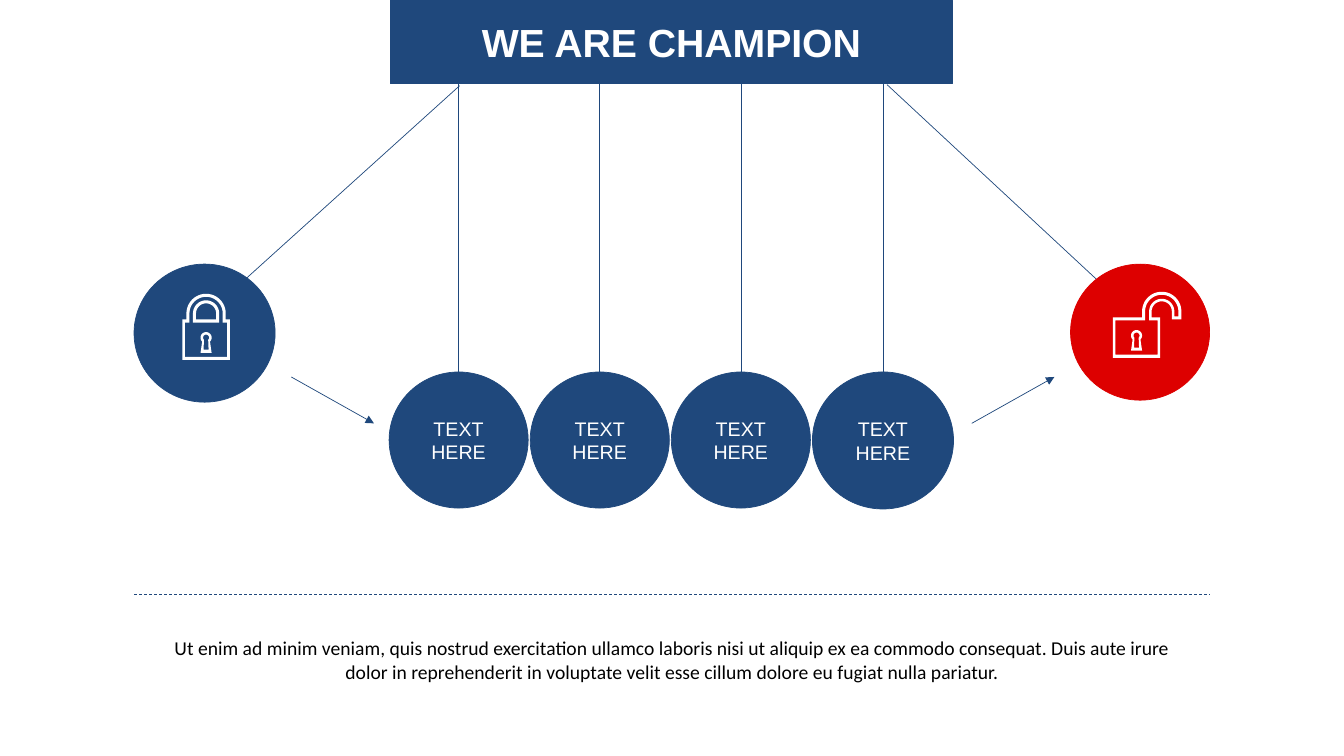
"""Build a Newton's cradle slide with two padlocked end balls."""
from dataclasses import dataclass
from math import cos, pi, sin

from lxml import etree
from pptx import Presentation
from pptx.dml.color import RGBColor
from pptx.enum.dml import MSO_LINE
from pptx.enum.shapes import MSO_CONNECTOR, MSO_SHAPE
from pptx.enum.text import MSO_ANCHOR, MSO_AUTO_SIZE, PP_ALIGN
from pptx.oxml.ns import qn
from pptx.util import Inches, Pt

STRAIGHT = MSO_CONNECTOR.STRAIGHT
OVAL = MSO_SHAPE.OVAL
DASH = MSO_LINE.DASH
MIDDLE = MSO_ANCHOR.MIDDLE
NO_FIT = MSO_AUTO_SIZE.NONE
CENTER = PP_ALIGN.CENTER
TOP_SITE = 0

COLUMNS, ROWS = 133.33, 75
CELL = Inches(0.1)
INSET = 0.5
BANNER_BOTTOM = 8.3
PITCH = 14
FOOTNOTE = (
    "Ut enim ad minim veniam, quis nostrud exercitation ullamco laboris nisi ut "
    "aliquip ex ea commodo consequat. Duis aute irure dolor in reprehenderit in "
    "voluptate velit esse cillum dolore eu fugiat nulla pariatur."
)

Point = tuple[float, float]
Contour = list[Point]


@dataclass(frozen=True)
class Theme:
    """Colours, fonts and type sizes of the slide."""
    navy: RGBColor = RGBColor(0x1F, 0x48, 0x7C)
    red: RGBColor = RGBColor(0xDD, 0x00, 0x00)
    white: RGBColor = RGBColor(0xFF, 0xFF, 0xFF)
    black: RGBColor = RGBColor(0x00, 0x00, 0x00)
    heading_font: str = "Arial"
    body_font: str = "Calibri"
    title_size: Pt = Pt(28)
    text_size: Pt = Pt(14)
    line_width: Pt = Pt(0.5)


THEME = Theme()


@dataclass(frozen=True)
class Ball:
    """A ball placed in grid cells, with one paragraph per line of text."""
    left: float
    top: float
    width: float
    height: float
    color: RGBColor = THEME.navy
    lines: tuple[str, ...] = ()


@dataclass(frozen=True)
class Stroke:
    """A straight line between two grid points."""
    start: Point
    end: Point
    arrow: bool = False
    dashed: bool = False


LABEL = ("TEXT", "HERE")
HANGING_BALLS = [Ball(38.6 + PITCH * i, 36.9, 13.8, 13.5, lines=LABEL) for i in range(3)]
HANGING_BALLS.append(Ball(38.6 + PITCH * 3, 36.9, 14, 13.6, lines=LABEL))
END_BALLS = [Ball(106.2, 26.2, 13.8, 13.5, THEME.red), Ball(13.3, 26.2, 14, 13.7)]
END_STRINGS = [Stroke((45.6, 8.5), (20.8, 30.9)), Stroke((88, 8.4), (109.2, 28.1))]
MARKS = [
    Stroke((28.9, 37.4), (37.1, 42), arrow=True),
    Stroke((96.4, 42), (104.6, 37.4), arrow=True),
    Stroke((13.3, 59), (120, 59), dashed=True),
]


def cells(count: float) -> int:
    """Turn grid cells into a slide length."""
    return round(count * CELL)


def arc(x: float, y: float, radius: float, start: float = pi, end: float = 0) -> Contour:
    """Sample an arc; the default runs left to right over the top."""
    steps = 24
    angles = [start + (end - start) * i / steps for i in range(steps + 1)]
    return [(x + radius * cos(a), y - radius * sin(a)) for a in angles]


def keyhole() -> list[Contour]:
    """Return the outer and inner outline of a keyhole."""
    return [
        arc(0, 4.3, radius, 1.25 * pi, -0.25 * pi) + [(foot, bottom), (-foot, bottom)]
        for radius, foot, bottom in ((0.55, 0.55, 5.8), (0.3, 0.25, 5.5))
    ]


def closed_lock() -> list[Contour]:
    """Return the contours of a shut padlock around its centre line."""
    bodies = [
        arc(0, 1.9, radius) + [(radius, top), (half, top), (half, bottom),
                               (-half, bottom), (-half, top), (-radius, top)]
        for radius, half, top, bottom in ((1.95, 2.35, 2.5, 6.5), (1.65, 2.1, 2.8, 6.2))
    ]
    gaps = [
        arc(0, 1.9, radius) + [(radius, bottom), (-radius, bottom)]
        for radius, bottom in ((1.3, 2.8), (1, 2.5))
    ]
    return bodies + gaps + keyhole()


def open_lock() -> list[Contour]:
    """Return the contours of a padlock whose shackle swings right."""
    hinge = 2.5
    bodies = [
        [(-half, top), (hinge - outer, top), *arc(hinge, 1.9, outer),
         (hinge + outer, tip), (hinge + inner, tip), *arc(hinge, 1.9, inner, 0, pi),
         (hinge - inner, top), (half, top), (half, bottom), (-half, bottom)]
        for half, top, bottom, outer, inner, tip in (
            (2.35, 2.5, 6.5, 1.95, 1, 2.7), (2.1, 2.8, 6.2, 1.65, 1.25, 2.4))
    ]
    return bodies + keyhole()


def paint(shape, color: RGBColor) -> None:
    """Give a shape a flat fill and a matching outline."""
    shape.shadow.inherit = False
    shape.fill.solid()
    shape.fill.fore_color.rgb = color
    shape.line.color.rgb = color
    shape.line.width = THEME.line_width


def write(frame, lines: tuple[str, ...], font: str, size: Pt, color: RGBColor,
          bold: bool = False) -> None:
    """Write centred paragraphs into a text frame."""
    for i, line in enumerate(lines):
        para = frame.paragraphs[0] if i == 0 else frame.add_paragraph()
        para.text = line
        para.alignment = CENTER
        para.font.name, para.font.size = font, size
        para.font.color.rgb, para.font.bold = color, bold


def set_frame(frame) -> None:
    """Centre a label vertically with narrow insets and no wrapping."""
    frame.auto_size = NO_FIT
    frame.word_wrap = False
    frame.vertical_anchor = MIDDLE
    frame.margin_left = frame.margin_right = cells(INSET)
    frame.margin_top = frame.margin_bottom = cells(INSET)


def draw_banner(page) -> None:
    """Format the title placeholder as the bar the strings hang from."""
    banner = page.shapes.title
    banner.left, banner.top = cells(38.7), 0
    banner.width, banner.height = cells(55.8), cells(BANNER_BOTTOM)
    banner.fill.solid()
    banner.fill.fore_color.rgb = THEME.navy
    banner.line.color.rgb = THEME.navy
    banner.line.width = THEME.line_width
    set_frame(banner.text_frame)
    write(banner.text_frame, ("WE ARE CHAMPION",), THEME.heading_font,
          THEME.title_size, THEME.white, bold=True)


def draw_ball(page, ball: Ball):
    """Draw one ball and return its shape."""
    shape = page.shapes.add_shape(OVAL, *map(cells, (ball.left, ball.top, ball.width, ball.height)))
    paint(shape, ball.color)
    set_frame(shape.text_frame)
    write(shape.text_frame, ball.lines, THEME.heading_font, THEME.text_size, THEME.white)
    return shape


def draw_stroke(page, stroke: Stroke):
    """Draw one line and return its connector."""
    connector = page.shapes.add_connector(STRAIGHT, *map(cells, stroke.start + stroke.end))
    connector.line.color.rgb = THEME.navy
    connector.line.width = THEME.line_width
    if stroke.dashed:
        connector.line.dash_style = DASH
    properties = connector._element.spPr
    if stroke.arrow:
        etree.SubElement(properties.find(qn("a:ln")), qn("a:tailEnd"), type="triangle")
    etree.SubElement(properties, qn("a:effectLst"))
    return connector


def draw_lock(page, center: float, top: float, contours: list[Contour]) -> None:
    """Draw a white padlock as a single freeform."""
    placed = [[(cells(center + x), cells(top + y)) for x, y in contour] for contour in contours]
    builder = page.shapes.build_freeform(*placed[0][0])
    for i, contour in enumerate(placed):
        if i:
            builder.move_to(*contour[0])
        builder.add_line_segments(contour[1:], close=True)
    lock = builder.convert_to_shape()
    paint(lock, THEME.white)
    lock.line.fill.background()


def draw_footnote(page) -> None:
    """Add the paragraph below the dashed rule."""
    box = page.shapes.add_textbox(*map(cells, (14.5, 62.6, 104.4, 5.7)))
    box.text_frame.word_wrap = True
    write(box.text_frame, (FOOTNOTE,), THEME.body_font, THEME.text_size, THEME.black)
    box.text_frame.paragraphs[0].space_after = Pt(6)


def main() -> None:
    """Build and save the deck."""
    deck = Presentation()
    deck.slide_width, deck.slide_height = cells(COLUMNS), cells(ROWS)
    page = deck.slides.add_slide(deck.slide_layouts[5])
    draw_banner(page)
    for stroke in END_STRINGS:
        draw_stroke(page, stroke)
    for ball in HANGING_BALLS:
        shape = draw_ball(page, ball)
        middle = ball.left + ball.width / 2
        string = draw_stroke(page, Stroke((middle, ball.top), (middle, BANNER_BOTTOM)))
        string.begin_connect(shape, TOP_SITE)
    for ball in END_BALLS:
        draw_ball(page, ball)
    for stroke in MARKS:
        draw_stroke(page, stroke)
    draw_footnote(page)
    draw_lock(page, 112.75, 29, open_lock())
    draw_lock(page, 20.45, 29.2, closed_lock())
    deck.save("out.pptx")


if __name__ == "__main__":
    main()
